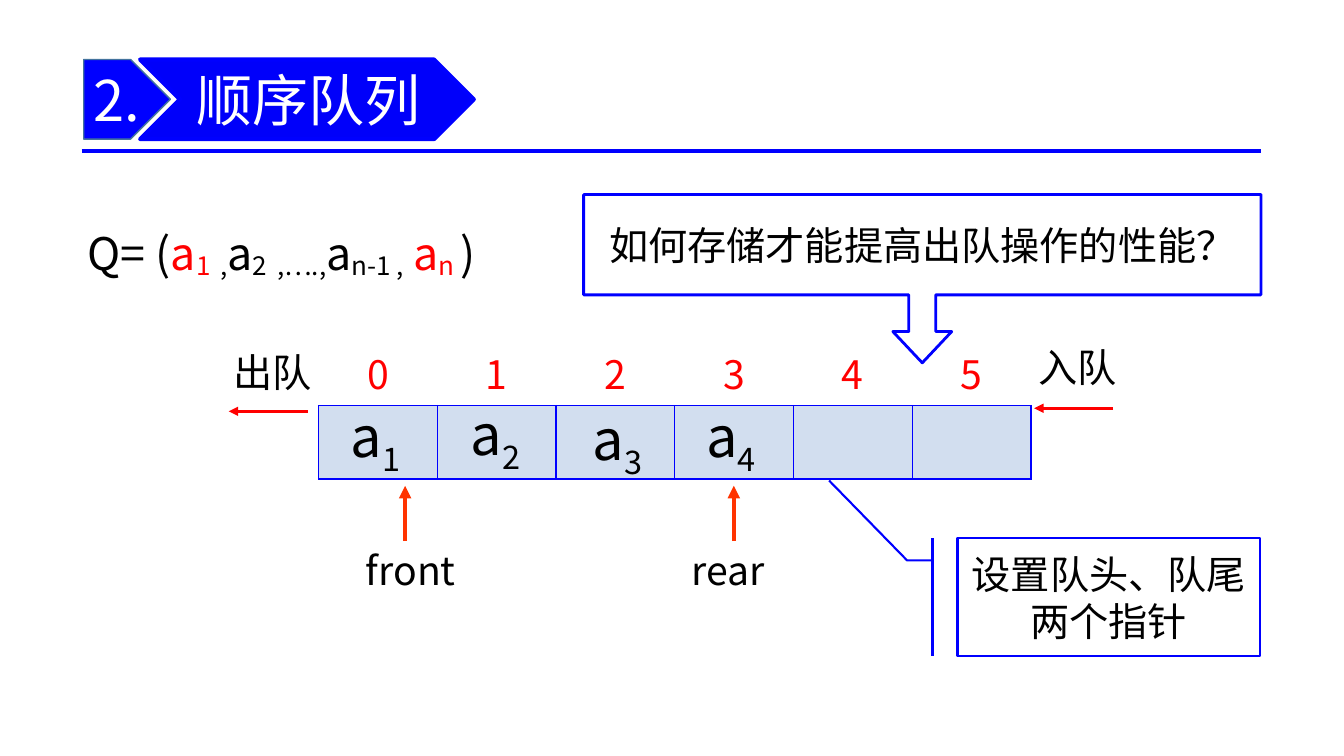
from lxml.etree import SubElement
from pptx import Presentation
from pptx.dml.color import RGBColor
from pptx.enum.shapes import MSO_CONNECTOR, MSO_SHAPE
from pptx.enum.text import MSO_ANCHOR, MSO_AUTO_SIZE, PP_ALIGN
from pptx.oxml.ns import qn
from pptx.util import Pt

FONT = "Noto Sans CJK SC"
COLORS = {
    "blue": "0000FF",
    "chevron": "0000FA",
    "steel": "43739E",
    "cell": "D2DEEF",
    "red": "FF0000",
    "pointer": "FF3300",
    "black": "000000",
    "white": "FFFFFF",
}


def rgb(name):
    return RGBColor.from_string(COLORS[name])


def write(tf, text, size=28, color="black", align=PP_ALIGN.LEFT,
          anchor=MSO_ANCHOR.TOP, wrap=True):
    """Fill a text frame; text is a string or (text, color, baseline %) spans."""
    spans = [(text, color, 0)] if isinstance(text, str) else text
    tf.word_wrap = wrap
    tf.auto_size = MSO_AUTO_SIZE.NONE
    tf.vertical_anchor = anchor
    p = tf.paragraphs[0]
    p.alignment = align
    for content, span_color, baseline in spans:
        r = p.add_run()
        r.text = content
        r.font.size = Pt(size)
        r.font.color.rgb = rgb(span_color)
        r.font.name = FONT
        rpr = r.font._element
        SubElement(rpr, qn("a:ea"), typeface=FONT)
        if baseline:
            rpr.set("baseline", str(baseline * 1000))


def add_label(s, text, left, top, width, height=41, **fmt):
    box = s.shapes.add_textbox(Pt(left), Pt(top), Pt(width), Pt(height))
    write(box.text_frame, text, **fmt)


def add_box(s, preset, left, top, width, height, fill, line, weight, adjustments=()):
    sp = s.shapes.add_shape(preset, Pt(left), Pt(top), Pt(width), Pt(height))
    sp.shadow.inherit = False
    sp.fill.solid()
    sp.fill.fore_color.rgb = rgb(fill)
    sp.line.color.rgb = rgb(line)
    sp.line.width = Pt(weight)
    for i, value in enumerate(adjustments):
        sp.adjustments[i] = value
    return sp


def add_line(s, x1, y1, x2, y2, color, weight, arrow=False):
    line = s.shapes.add_connector(MSO_CONNECTOR.STRAIGHT, Pt(x1), Pt(y1), Pt(x2), Pt(y2))
    line.line.color.rgb = rgb(color)
    line.line.width = Pt(weight)
    if arrow:
        SubElement(line.line._get_or_add_ln(), qn("a:tailEnd"), type="triangle")
    SubElement(line._element.spPr, qn("a:effectLst"))


def add_borders(cell, color, weight=1):
    tcpr = cell._tc.get_or_add_tcPr()
    for i, side in enumerate(("lnL", "lnR", "lnT", "lnB")):
        ln = tcpr.makeelement(qn(f"a:{side}"), {"w": str(Pt(weight))})
        fill = SubElement(ln, qn("a:solidFill"))
        SubElement(fill, qn("a:srgbClr"), val=COLORS[color])
        tcpr.insert(i, ln)


def add_queue(s, left, top, column, rows, size):
    """Index row above a row of empty storage cells."""
    frame = s.shapes.add_table(2, size, Pt(left), Pt(top), Pt(column * size), Pt(sum(rows)))
    table = frame.table
    table.first_row = table.horz_banding = False
    for row, height in zip(table.rows, rows):
        row.height = Pt(height)
    for i in range(size):
        table.columns[i].width = Pt(column)
        index, store = table.cell(0, i), table.cell(1, i)
        index.fill.background()
        index.vertical_anchor = MSO_ANCHOR.MIDDLE
        write(index.text_frame, str(i), color="red", align=PP_ALIGN.CENTER)
        store.fill.solid()
        store.fill.fore_color.rgb = rgb("cell")
        add_borders(store, "blue")


def add_heading(s, number, text):
    centered = {"size": 40, "color": "white", "anchor": MSO_ANCHOR.MIDDLE}
    plate = add_box(s, MSO_SHAPE.PENTAGON, 59.8, 42.5, 61.9, 56.9, "blue", "steel", 1)
    plate.text_frame.margin_right = 0
    write(plate.text_frame, number, **centered)
    add_box(s, MSO_SHAPE.CHEVRON, 100.1, 42.5, 238.3, 56.9, "chevron", "blue", 3)

    title = s.shapes.title
    title.left, title.top, title.width, title.height = Pt(116.6), Pt(31.7), Pt(204.5), Pt(77.8)
    tf = title.text_frame
    tf.margin_left, tf.margin_right = Pt(2.9), 0
    tf.margin_top = tf.margin_bottom = Pt(1.4)
    write(tf, text, align=PP_ALIGN.CENTER, **centered)
    s.shapes.element.append(title.element)  # bring in front of the chevron


def main():
    prs = Presentation()
    prs.slide_width, prs.slide_height = Pt(960), Pt(540)
    s = prs.slides.add_slide(prs.slide_layouts[5])
    add_line(s, 58.3, 108, 900.7, 108, "blue", 3)

    add_queue(s, 227.5, 241.9, 84.84, (46.8, 52.6), 6)
    for text, left, top, arrow_x, arrow_y in (
        ("入队", 734.4, 241.9, 738.7, 291.6),
        ("出队", 159.8, 245.5, 163.4, 293.8),
    ):
        add_line(s, arrow_x + 56.5, arrow_y, arrow_x, arrow_y, "red", 2.25, arrow=True)
        add_label(s, text, left, top, 77.8)

    for i, (left, top) in enumerate(((243.4, 283), (329, 282.2), (416.2, 285.1), (497.5, 283)), 1):
        add_label(s, [("a", "black", 0), (str(i), "black", -25)], left, top, 65, 55.4, size=40)

    for text, left, arrow_x in (("front", 254.2, 289.4), ("rear", 486.7, 524.2)):
        add_line(s, arrow_x, 386.6, arrow_x, 347, "pointer", 3, arrow=True)
        add_label(s, text, left, 386.6, 95)

    add_label(s, [
        ("Q= (", "black", 0), ("a", "red", 0), ("1", "red", -12),
        (" ", "black", 0), (",", "black", -12),
        ("a", "black", 0), ("2", "black", -12),
        (" ", "black", 0), (",….,", "black", -12),
        ("a", "black", 0), ("n-1 ,", "black", -12),
        (" a", "red", 0), ("n ", "red", -12), (")", "black", 0),
    ], 55.4, 157.7, 339.8, 46.1, size=32, wrap=False)

    question = add_box(s, MSO_SHAPE.DOWN_ARROW_CALLOUT, 416.9, 139, 483.8, 120.2,
                       "white", "blue", 2, (0.16, 0.175, 0.186, 0.596))
    answer = add_box(s, MSO_SHAPE.LINE_CALLOUT_2_BORDER_AND_ACCENT_BAR, 684, 384.5, 216, 84.2,
                     "white", "blue", 1.5, (0.188, -0.083, 0.188, -0.167, -0.49, -0.425))
    for sp, text in ((question, "如何存储才能提高出队操作的性能？"),
                     (answer, "设置队头、队尾两个指针")):
        write(sp.text_frame, text, align=PP_ALIGN.CENTER, anchor=MSO_ANCHOR.MIDDLE)

    add_heading(s, "2.", "顺序队列")
    prs.save("out.pptx")


if __name__ == "__main__":
    main()
